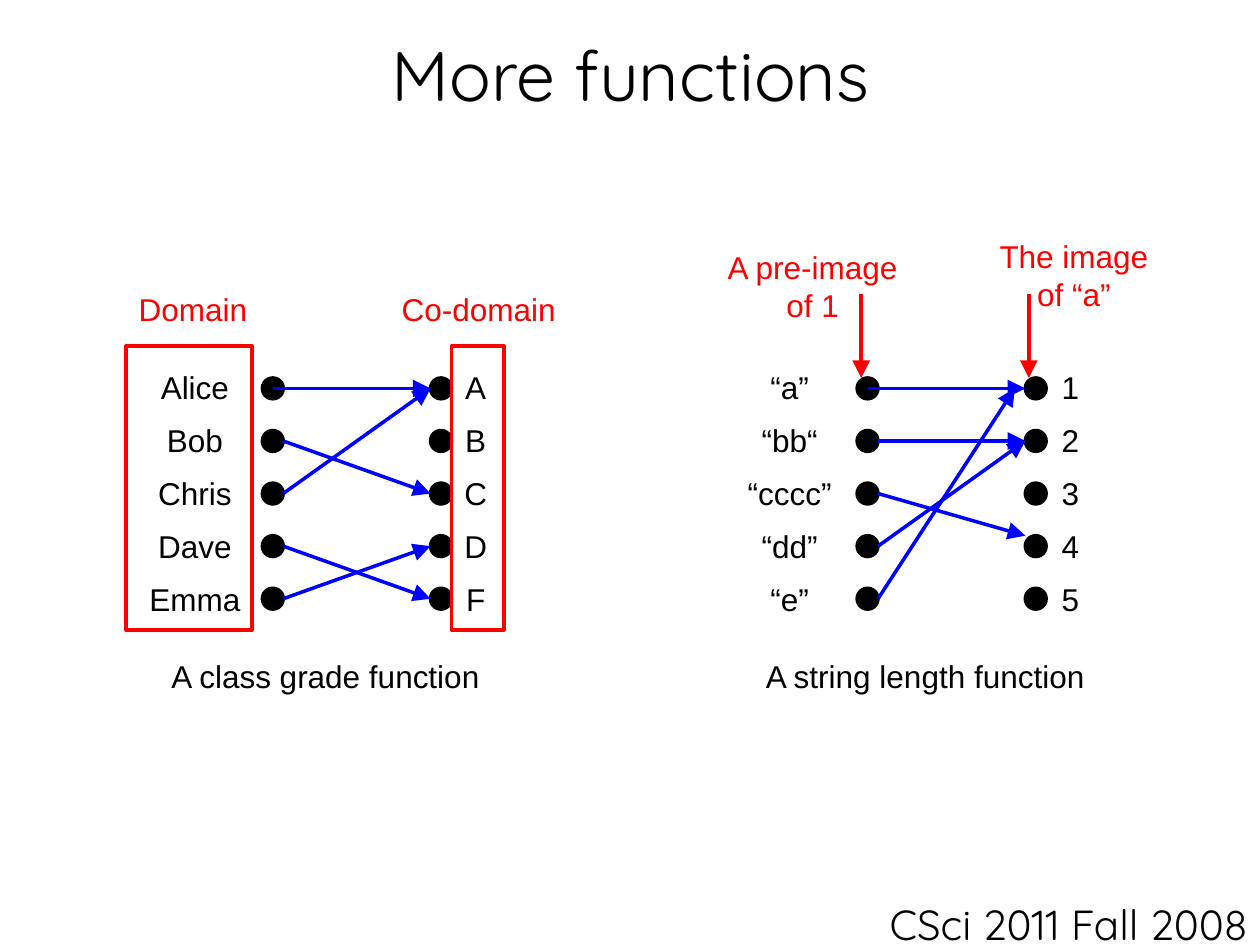
from pptx import Presentation
from pptx.dml.color import RGBColor
from pptx.enum.shapes import MSO_CONNECTOR, MSO_SHAPE
from pptx.enum.text import MSO_ANCHOR, MSO_AUTO_SIZE, PP_ALIGN
from pptx.oxml.ns import qn
from pptx.util import Cm, Pt
from lxml.etree import SubElement

BLACK = RGBColor(0x00, 0x00, 0x00)
BLUE = RGBColor(0x00, 0x00, 0xFF)
RED = RGBColor(0xFF, 0x00, 0x00)

HEADING = {"name": "Quicksand", "size": Pt(40)}
FOOTER = {"name": "Quicksand", "size": Pt(24)}
LABEL = {"name": "Arial", "size": Pt(18)}

DOT = 0.42          # dot diameter, cm
ROW_STEP = 1.06     # distance between rows, cm
LINE_HEIGHT = 0.76  # height of one text line, cm


def write(box, lines, font, color=BLACK, align=PP_ALIGN.CENTER, spacing=None):
    frame = box.text_frame
    for index, line in enumerate(lines):
        para = frame.paragraphs[0] if index == 0 else frame.add_paragraph()
        para.alignment = align
        if spacing:
            para.line_spacing = spacing
        span = para.add_run()
        span.text = line
        for key, value in font.items():
            setattr(span.font, key, value)
        span.font.color.rgb = color


def add_label(shapes, center, top, width, lines, color=BLACK, spacing=None):
    """Place a centred label around the given horizontal centre."""
    height = 0.25 + LINE_HEIGHT * len(lines) * (spacing or 1)
    box = shapes.add_textbox(Cm(center - width / 2), Cm(top), Cm(width), Cm(height))
    box.text_frame.word_wrap = False
    box.text_frame.auto_size = MSO_AUTO_SIZE.SHAPE_TO_FIT_TEXT
    write(box, lines, LABEL, color, spacing=spacing)


def add_arrow(shapes, start, end, color):
    ends = [Cm(value) for value in (*start, *end)]
    arrow = shapes.add_connector(MSO_CONNECTOR.STRAIGHT, *ends)
    arrow.line.color.rgb = color
    arrow.line.width = Pt(2)
    line = arrow.line._get_or_add_ln()
    SubElement(line, qn("a:tailEnd"), type="triangle", w="lg", len="lg")
    SubElement(arrow._element.spPr, qn("a:effectLst"))


def add_dot(shapes, left, top):
    dot = shapes.add_shape(MSO_SHAPE.OVAL, Cm(left), Cm(top), Cm(DOT), Cm(DOT))
    dot.shadow.inherit = False
    dot.fill.solid()
    dot.fill.fore_color.rgb = BLACK
    dot.line.color.rgb = BLACK
    dot.line.width = Pt(2)


def add_mapping(page, left, top, inputs, outputs, arrows, caption, caption_center):
    """Draw two columns of labelled dots and the arrows between them.

    An arrow is (input row, output row, start shift, end shift x, end shift y).
    """
    shapes = page.shapes.add_group_shape().shapes
    input_left, output_left = left + 2.75, left + 6.14
    dots_top = top + 0.64
    for column in (input_left, output_left):
        for row in range(len(inputs)):
            add_dot(shapes, column, dots_top + row * ROW_STEP)

    def middle(row):
        return dots_top + DOT / 2 + row * ROW_STEP

    for source, target, start_x, end_x, end_y in arrows:
        add_arrow(shapes,
                  (input_left + DOT + start_x, middle(source)),
                  (output_left + end_x, middle(target) + end_y), BLUE)
    add_label(shapes, left + 1.39, top + 0.02, 2.6, inputs, spacing=1.4)
    add_label(shapes, left + 7.05, top + 0.02, 1.05, outputs, spacing=1.4)
    add_label(shapes, left + caption_center, top + 6.14, 7.3, [caption])


def add_set_frame(page, left, top, width, height, name, name_center, name_width):
    """Outline one set in red, with its name above."""
    frame = page.shapes.add_shape(MSO_SHAPE.RECTANGLE, Cm(left), Cm(top),
                                  Cm(width), Cm(height))
    frame.shadow.inherit = False
    frame.fill.background()
    frame.line.color.rgb = RED
    frame.line.width = Pt(2)
    add_label(page.shapes, name_center, top - 1.25, name_width, [name], RED)


def add_callout(page, center, top, width, lines, arrow_x):
    """Write a red remark with an arrow down to the first row of dots."""
    add_arrow(page.shapes, (arrow_x, 5.93), (arrow_x, 7.62), RED)
    add_label(page.shapes, center, top, width, lines, RED)


def add_heading(page, left, top, width, height):
    title = page.shapes.title
    place = {"left": left, "top": top, "width": width, "height": height}
    for key, value in place.items():
        setattr(title, key, Cm(value))
    title.text_frame.vertical_anchor = MSO_ANCHOR.MIDDLE
    write(title, ["More functions"], HEADING)


def add_footer(page, left, top, width, height):
    box = page.shapes.add_textbox(Cm(left), Cm(top), Cm(width), Cm(height))
    box.text_frame.word_wrap = True
    write(box, ["CSci 2011 Fall 2008"], FOOTER, align=PP_ALIGN.RIGHT)


def main():
    deck = Presentation()
    deck.slide_width, deck.slide_height = Cm(25.4), Cm(19.05)
    page = deck.slides.add_slide(deck.slide_layouts[5])

    add_footer(page, 16.71, 17.98, 8.69, 1.07)
    add_heading(page, 0.64, 0.43, 24.13, 2.11)
    add_mapping(page, 14.53, 6.98,
                ["“a”", "“bb“", "“cccc”", "“dd”", "“e”"],
                ["1", "2", "3", "4", "5"],
                [(0, 0, -DOT / 2, 0, 0), (1, 1, 0, 0, 0), (3, 1, 0, 0, 0),
                 (2, 3, 0, 0, -DOT / 2), (4, 0, 0, -DOT / 2, 0)],
                "A string length function", 4.12)
    add_mapping(page, 2.54, 6.98,
                ["Alice", "Bob", "Chris", "Dave", "Emma"],
                ["A", "B", "C", "D", "F"],
                [(0, 0, -DOT / 2, 0, 0), (1, 2, 0, 0, 0), (3, 4, 0, 0, 0),
                 (2, 0, 0, 0, 0), (4, 3, 0, 0, 0)],
                "A class grade function", 4.02)
    add_set_frame(page, 2.54, 6.98, 2.54, 5.72, "Domain", 3.89, 2.9)
    add_set_frame(page, 9.1, 6.98, 1.06, 5.72, "Co-domain", 9.65, 3.9)
    add_callout(page, 16.38, 4.87, 4.2, ["A pre-image", "of 1"], 17.36)
    add_callout(page, 21.65, 4.65, 3.7, ["The image", "of “a”"], 20.74)

    deck.save("out.pptx")


if __name__ == "__main__":
    main()
